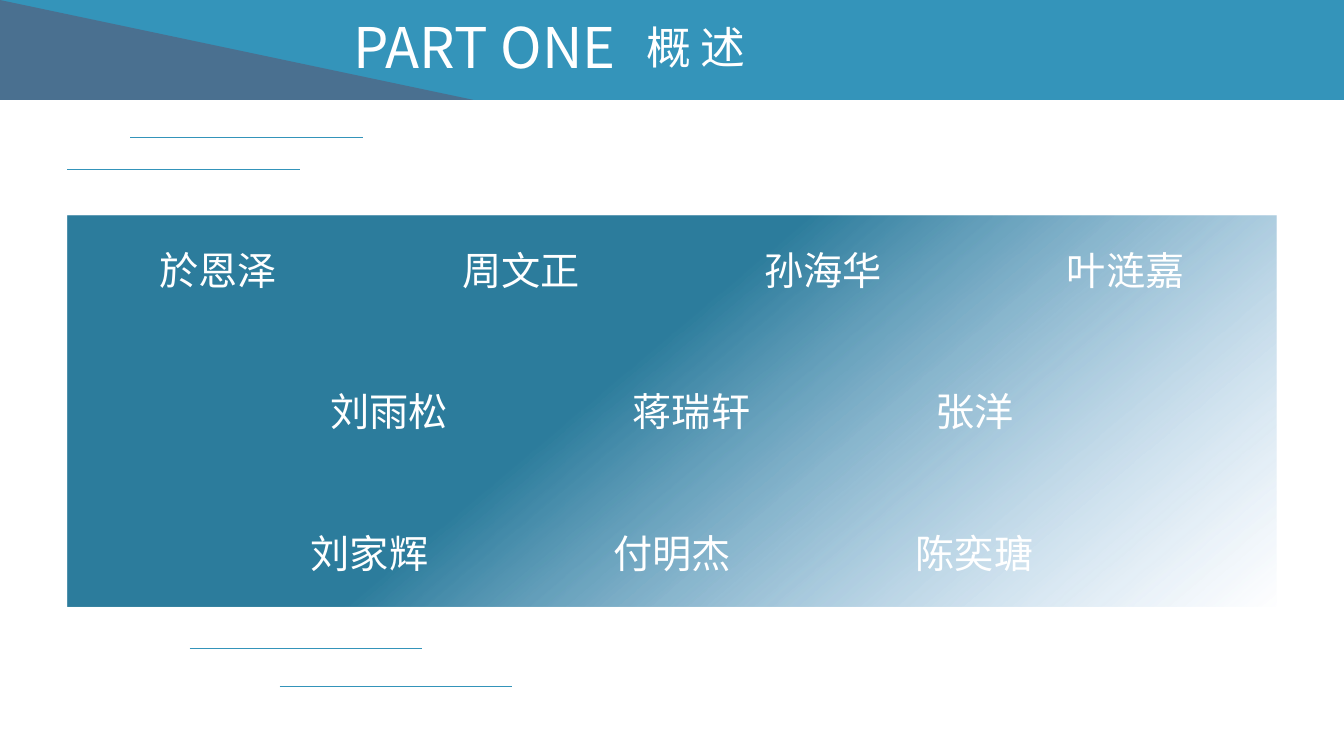
"""Build the Part One overview slide with its panel of names."""
from lxml import etree
from pptx import Presentation
from pptx.dml.color import RGBColor
from pptx.enum.shapes import MSO_CONNECTOR, MSO_SHAPE
from pptx.enum.text import MSO_ANCHOR, MSO_AUTO_SIZE, PP_ALIGN
from pptx.oxml import parse_xml
from pptx.oxml.ns import qn
from pptx.util import Inches, Pt

RECT, WEDGE = MSO_SHAPE.RECTANGLE, MSO_SHAPE.ISOSCELES_TRIANGLE
LINE, MID, GROW = MSO_CONNECTOR.STRAIGHT, MSO_ANCHOR.MIDDLE, MSO_AUTO_SIZE.SHAPE_TO_FIT_TEXT
CENTER = PP_ALIGN.CENTER
BLUE, SLATE, TEAL, SKY, WHITE = "3494BA", "4A7090", "2C7C9C", "8DBAE4", "FFFFFF"
CJK, LATIN = "Noto Sans CJK JP", "Calibri"
W, H = Inches(13.33), Inches(7.5)
BAND, TAB = 0.132, 1.5


def paint(target, color):
    target.solid()
    target.fore_color.rgb = RGBColor.from_string(color)


def write(para, text, size, face):
    run = para.add_run()
    run.text = text
    run.font.size = Pt(size)
    run.font.name = face
    paint(run.font.fill, WHITE)


deck = Presentation()
deck.slide_width, deck.slide_height = W, H
slide = deck.slides.add_slide(deck.slide_layouts[6])
shapes = slide.shapes

for kind, wide, color in [(RECT, 1, BLUE), (WEDGE, 0.352, SLATE)]:
    shape = shapes.add_shape(kind, 0, 0, int(wide * W), int(BAND * H))
    shape.shadow.inherit = False
    paint(shape.fill, color)
    shape.line.fill.background()
shape.adjustments[0] = 0

titles = [("PART ONE", 40, 3.41, 0.08, 4.11, 0.77), ("概 述", 32, 6.31, 0.15, 2.9, 0.64)]
for text, size, *place in titles:
    box = shapes.add_textbox(*[Inches(v) for v in place])
    frame = box.text_frame
    frame.word_wrap = True
    frame.auto_size = GROW
    write(frame.paragraphs[0], text, size, CJK)

panel = shapes.add_shape(RECT, int(0.05 * W), int(0.285 * H), int(0.9 * W), int(0.517 * H))
panel.shadow.inherit = False
panel.line.fill.background()
panel.fill.gradient()
panel.fill.gradient_angle = 310
stops = panel._element.spPr.find(qn("a:gradFill")).find(qn("a:gsLst"))
for stop in list(stops):
    stops.remove(stop)
NS = "http://schemas.openxmlformats.org/drawingml/2006/main"
for share, color, alpha in [(0, TEAL, 100), (44, TEAL, 100), (100, SKY, 0)]:
    stops.append(parse_xml(
        f'<a:gs xmlns:a="{NS}" pos="{share * 1000}"><a:srgbClr val="{color}">'
        f'<a:alpha val="{alpha * 1000}"/></a:srgbClr></a:gs>'))

rows = [
    ["於恩泽 ", "周文正", "孙海华", "叶涟嘉"],
    ["刘雨松", "蒋瑞轩", "张洋"],
    ["刘家辉", "付明杰", "陈奕瑭"],
]
frame = panel.text_frame
frame.word_wrap = True
frame.vertical_anchor = MID
for i, names in enumerate(rows):
    para = frame.add_paragraph() if i else frame.paragraphs[0]
    para.alignment = CENTER
    if i:
        para.space_before = Pt(67.5)
    tabs = etree.SubElement(para._p.get_or_add_pPr(), qn("a:tabLst"))
    for n in range(1, 7):
        etree.SubElement(tabs, qn("a:tab"), pos=str(Inches(n * TAB)), algn="l")
    write(para, "\t\t".join(names), 28, LATIN)

for left, top in [(0.05, 0.224), (0.097, 0.182), (0.141, 0.857), (0.208, 0.908)]:
    x, y = int(left * W), int(top * H)
    rule = shapes.add_connector(LINE, x, y, x + int(0.173 * W), y)
    paint(rule.line.fill, BLUE)
    rule.line.width = Pt(0.5)
    etree.SubElement(rule._element.spPr, qn("a:effectLst"))

deck.save("out.pptx")
